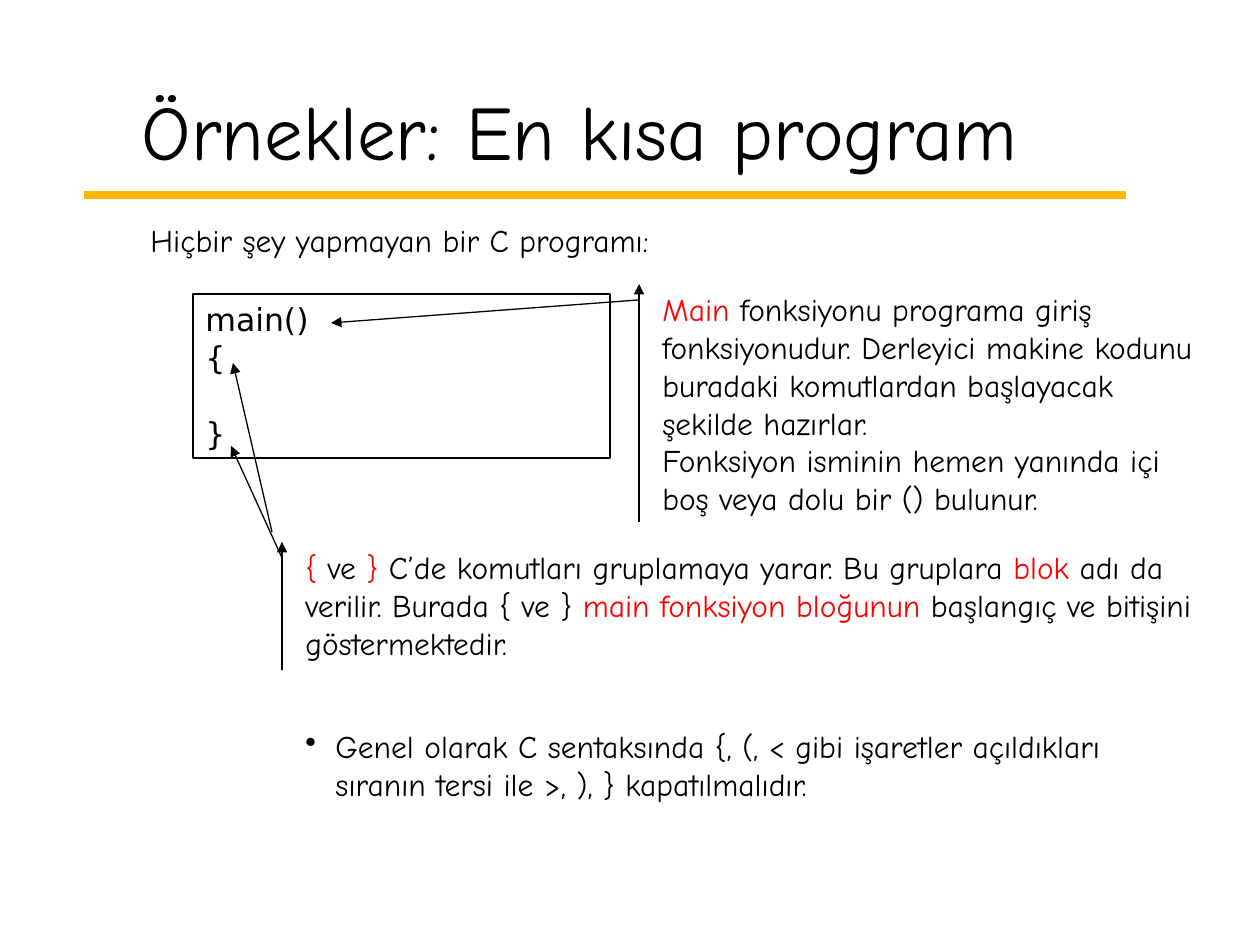
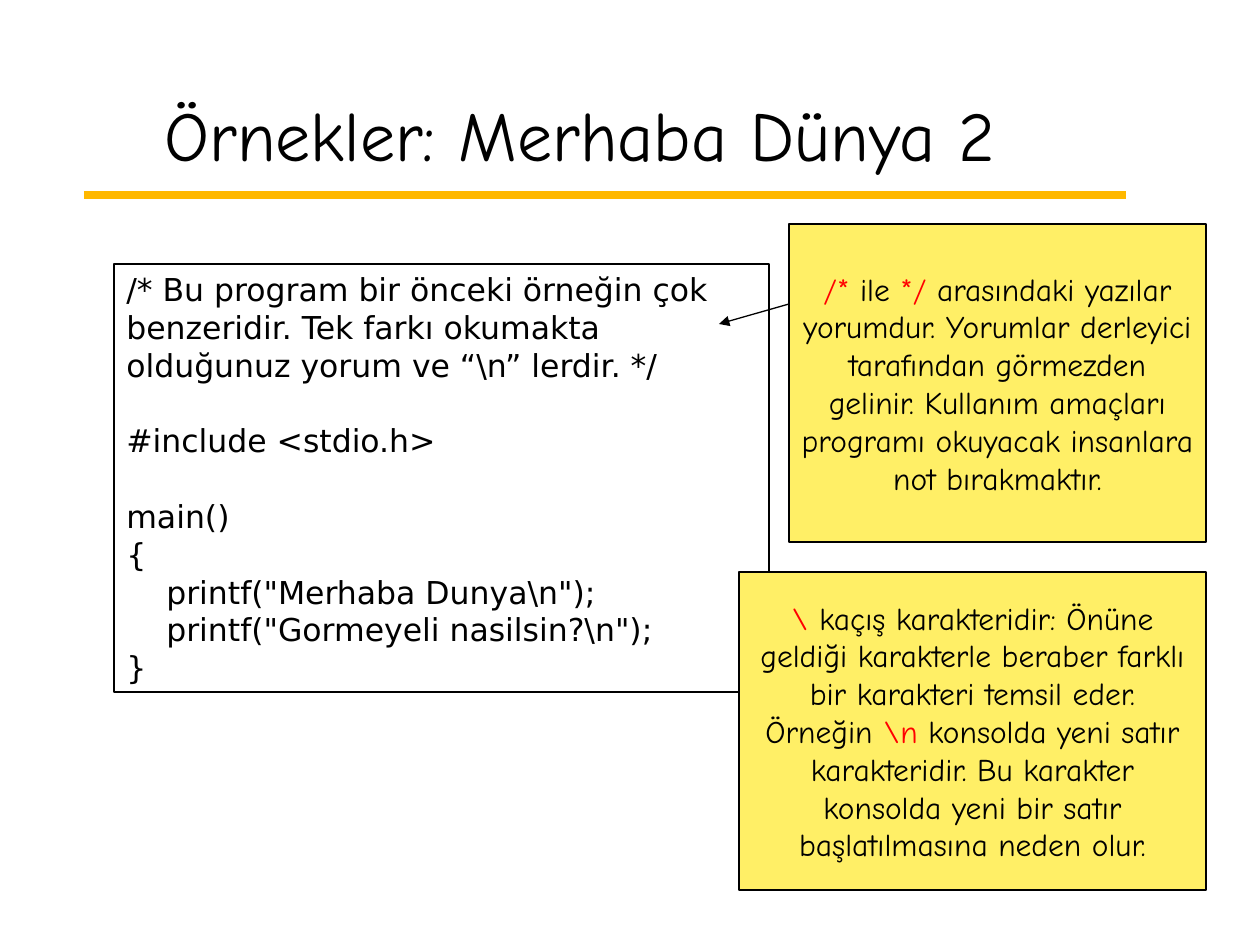
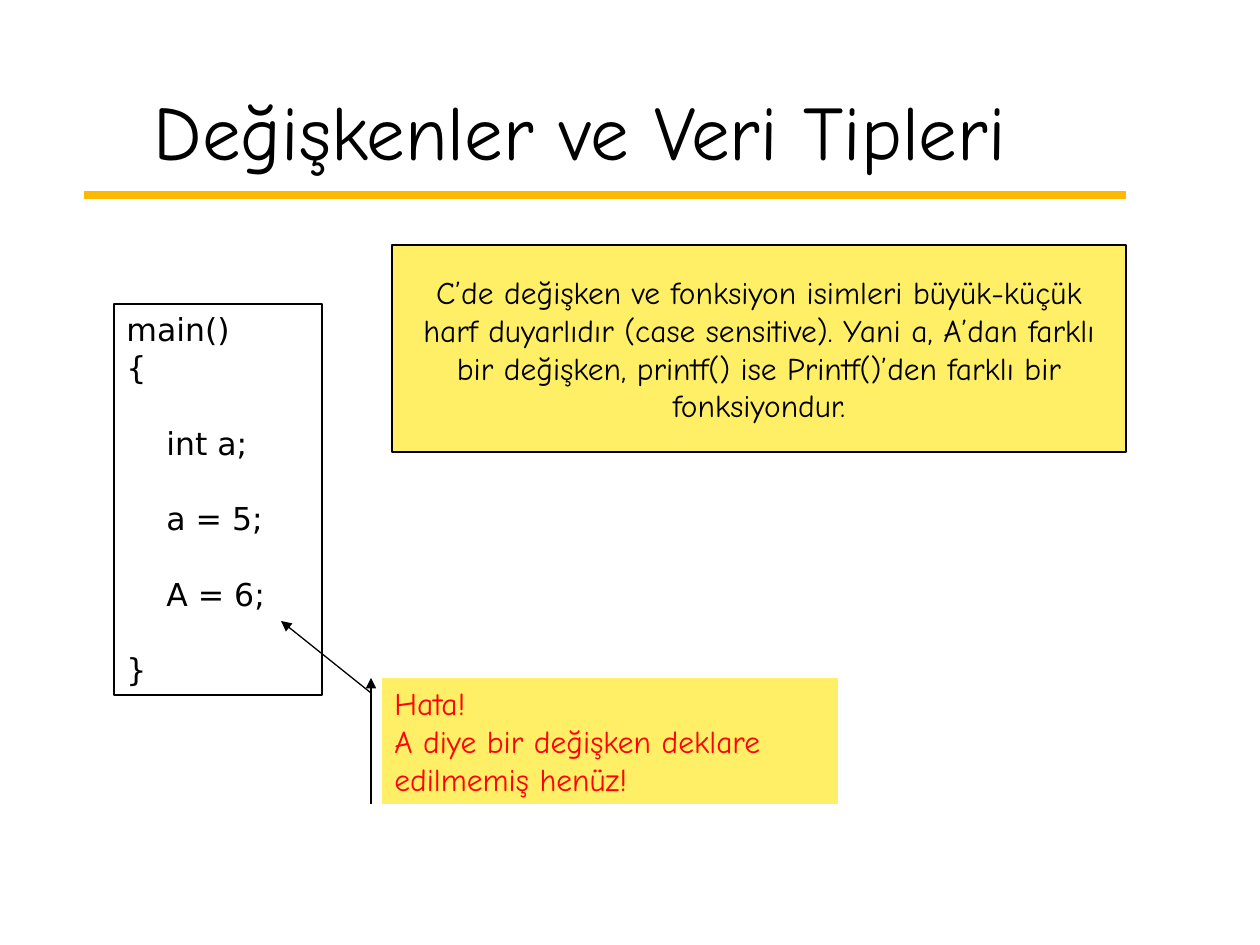
"""Builds three slides of a C programming lesson."""
from lxml.etree import SubElement
from pptx import Presentation
from pptx.dml.color import RGBColor
from pptx.enum.shapes import MSO_CONNECTOR, MSO_SHAPE
from pptx.enum.text import MSO_ANCHOR, MSO_AUTO_SIZE, PP_ALIGN
from pptx.oxml.ns import qn
from pptx.util import Emu, Pt

BLACK, RED, GOLD, YELLOW = "000000", "FF0000", "FFB800", "FFEF66"
HAND, CODE = "Comic Neue", "DejaVu Sans"
SIZE, LEAD = 18, 21.6
BAR_GAP, SPACE = 11, 10

# Prose is a list of paragraphs; each alternates black and red parts.
SLIDES = [
    ("Örnekler: En kısa program", 44, [
        ("code", (193, 294, 417, 164), ["main()", "{", "", "}"]),
        ("call", (650, 284, 575, 238), [
            ("", "Main", " fonksiyonu programa giriş fonksiyonudur. Derleyici makine "
             "kodunu buradaki komutlardan başlayacak şekilde hazırlar."),
            ("Fonksiyon isminin hemen yanında içi boş veya dolu bir () bulunur.",),
        ], (331, 323), 16),
        ("lead", (138, 215, 525, 50), [("Hiçbir şey yapmayan bir C programı:",)]),
        ("call", (293, 542, 922, 128), [
            ("", "{ ", "ve", " }", " C’de komutları gruplamaya yarar. Bu gruplara ",
             "blok", " adı da verilir. Burada { ve } ", "main fonksiyon bloğunun",
             " başlangıç ve bitişini göstermektedir."),
        ], (231, 446), 16),
        ("arrow", (272, 532), (233, 363)),
        ("list", (293, 721, 866, 88), [
            ("Genel olarak C sentaksında {, (, < gibi işaretler açıldıkları "
             "sıranın tersi ile >, ), } kapatılmalıdır.",),
        ]),
    ]),
    ("Örnekler: Merhaba Dünya 2", 40, [
        ("code", (114, 264, 655, 428), [
            r"/* Bu program bir önceki örneğin çok benzeridir. Tek farkı okumakta "
            r"olduğunuz yorum ve “\n” lerdir. */",
            "", "#include <stdio.h>", "", "main()", "{",
            r'    printf("Merhaba Dunya\n");',
            r'    printf("Gormeyeli nasilsin?\n");', "}"]),
        ("note", (789, 224, 417, 318), [
            ("", "/*", " ile ", "*/", " arasındaki yazılar yorumdur. Yorumlar derleyici "
             "tarafından görmezden gelinir. Kullanım amaçları programı okuyacak "
             "insanlara not bırakmaktır."),
        ]),
        ("arrow", (789, 304), (719, 324)),
        ("note", (739, 572, 467, 318), [
            ("", "\\", " kaçış karakteridir: Önüne geldiği karakterle beraber farklı bir "
             "karakteri temsil eder. Örneğin ", r"\n ", "konsolda yeni satır "
             "karakteridir. Bu karakter konsolda yeni bir satır başlatılmasına "
             "neden olur."),
        ]),
    ]),
    ("Değişkenler ve Veri Tipleri", 44, [
        ("code", (114, 304, 208, 391), [
            "main()", "{", "", "    int a;", "", "    a = 5;", "", "    A = 6;", "", "}"]),
        ("note", (392, 245, 734, 207), [
            ("C’de değişken ve fonksiyon isimleri büyük-küçük harf duyarlıdır (case "
             "sensitive). Yani a, A’dan farklı bir değişken, printf() ise Printf()’den "
             "farklı bir fonksiyondur.",),
        ]),
        ("call", (382, 678, 456, 126), [
            ("", "Hata!"), ("", "A diye bir değişken deklare edilmemiş henüz!"),
        ], (281, 621), 15, YELLOW),
    ]),
]


def px(n):
    return Emu(round(n * 914400 / 126))


def rgb(code):
    return RGBColor.from_string(code)


def style(para, font, size=SIZE):
    para.font.name, para.font.size = font, Pt(size)


def paint(run, color):
    run.font.color.rgb = rgb(color)


def draw(slide, start, end, color=BLACK, width=0.75, tip=True):
    line = slide.shapes.add_connector(
        MSO_CONNECTOR.STRAIGHT, *map(px, (*start, *end)))
    line.line.color.rgb, line.line.width = rgb(color), Pt(width)
    props = line._element.spPr
    if tip:
        SubElement(props.find(qn("a:ln")), qn("a:tailEnd"), type="triangle")
    SubElement(props, qn("a:effectLst"))
    return line


def dress(shape, fill=None):
    shape.shadow.inherit = False
    if fill:
        shape.fill.solid()
        shape.fill.fore_color.rgb = rgb(fill)
    else:
        shape.fill.background()
    shape.line.color.rgb, shape.line.width = rgb(BLACK), Pt(0.75)
    shape.text_frame.vertical_anchor = MSO_ANCHOR.TOP
    shape.text_frame.word_wrap = True
    return shape.text_frame


def box(slide, area, fill=None):
    return dress(slide.shapes.add_shape(MSO_SHAPE.RECTANGLE, *map(px, area)), fill)


def paras(frame, items, font, align=PP_ALIGN.LEFT):
    for i, item in enumerate(items):
        para = frame.add_paragraph() if i else frame.paragraphs[0]
        para.alignment, para.line_spacing = align, Pt(LEAD)
        style(para, font)
        yield para, item


def write(frame, items, align=PP_ALIGN.LEFT):
    for para, parts in paras(frame, items, HAND, align):
        for i, part in enumerate(parts):
            if part:
                run = para.add_run()
                run.text = part
                paint(run, RED if i % 2 else BLACK)


def code(slide, area, lines):
    frame, gap = box(slide, area), 0
    rows = []
    for line in lines:
        if line:
            rows.append((line, gap))
        gap = 0 if line else gap + LEAD
    for para, (line, gap) in paras(frame, rows, CODE):
        run = para.add_run()
        run.text = line.lstrip()
        paint(run, BLACK)
        para.space_before = Pt(gap)
        inset = len(line) - len(run.text)
        para._p.get_or_add_pPr().set("marL", str(px(inset * SPACE)))


def note(slide, area, text):
    frame = box(slide, area, YELLOW)
    frame.vertical_anchor = MSO_ANCHOR.MIDDLE
    write(frame, text, PP_ALIGN.CENTER)


def call(slide, area, text, goal, drop, fill=None):
    left, top, wide, high = area
    pen = slide.shapes.build_freeform(px(left), px(top))
    pen.add_line_segments([
        (px(left + x), px(top + y)) for x, y in ((wide, 0), (wide, high), (0, high))])
    shape = pen.convert_to_shape()
    write(dress(shape, fill), text)
    props = shape._element.spPr
    SubElement(props.find(qn("a:ln")), qn("a:headEnd"), type="triangle")
    paths = props.find(".//" + qn("a:pathLst"))
    size = dict(w=str(px(wide)), h=str(px(high)))
    paths[0].set("stroke", "0")
    aim = (goal[0] - left, goal[1] - top)
    for ends in ((aim, (-BAR_GAP, drop)), ((-BAR_GAP, 0), (-BAR_GAP, high))):
        track = SubElement(paths, qn("a:path"), fill="none", **size)
        for verb, (x, y) in zip(("a:moveTo", "a:lnTo"), ends):
            step = SubElement(track, qn(verb))
            SubElement(step, qn("a:pt"), x=str(px(x)), y=str(px(y)))


def lead(slide, area, text, wrap=False):
    frame = slide.shapes.add_textbox(*map(px, area)).text_frame
    frame.word_wrap = wrap
    write(frame, text)
    return frame


def bullets(slide, area, text):
    for para in lead(slide, area, text, True).paragraphs:
        props = para._p.get_or_add_pPr()
        props.set("marL", str(px(30)))
        props.set("indent", str(-px(30)))
        mark = props.find(qn("a:defRPr"))
        tint = SubElement(props, qn("a:buClr"))
        SubElement(tint, qn("a:srgbClr"), val=BLACK)
        sign = SubElement(props, qn("a:buChar"), char="•")
        mark.addprevious(tint)
        mark.addprevious(sign)


def setup(layout):
    title = layout.placeholders[0]
    title.left, title.top, title.width, title.height = map(px, (84, 56, 992, 126))
    title.text_frame.vertical_anchor = MSO_ANCHOR.BOTTOM
    title.text_frame.auto_size = MSO_AUTO_SIZE.NONE


def main():
    deck = Presentation()
    deck.slide_width, deck.slide_height = px(1260), px(945)
    layout = deck.slide_layouts[5]
    setup(layout)
    kinds = {"code": code, "note": note, "call": call,
             "lead": lead, "list": bullets, "arrow": draw}
    for i, (name, size, items) in enumerate(SLIDES):
        slide = deck.slides.add_slide(layout)
        if not i:
            rule = draw(slide, (84, 195), (1126, 195), GOLD, 4.5, False)
            layout.shapes._spTree.append(rule._element)
        para = slide.shapes.title.text_frame.paragraphs[0]
        para.alignment = PP_ALIGN.CENTER
        style(para, HAND, size)
        run = para.add_run()
        run.text = name
        paint(run, BLACK)
        for kind, *args in items:
            kinds[kind](slide, *args)
    deck.save("out.pptx")


if __name__ == "__main__":
    main()
